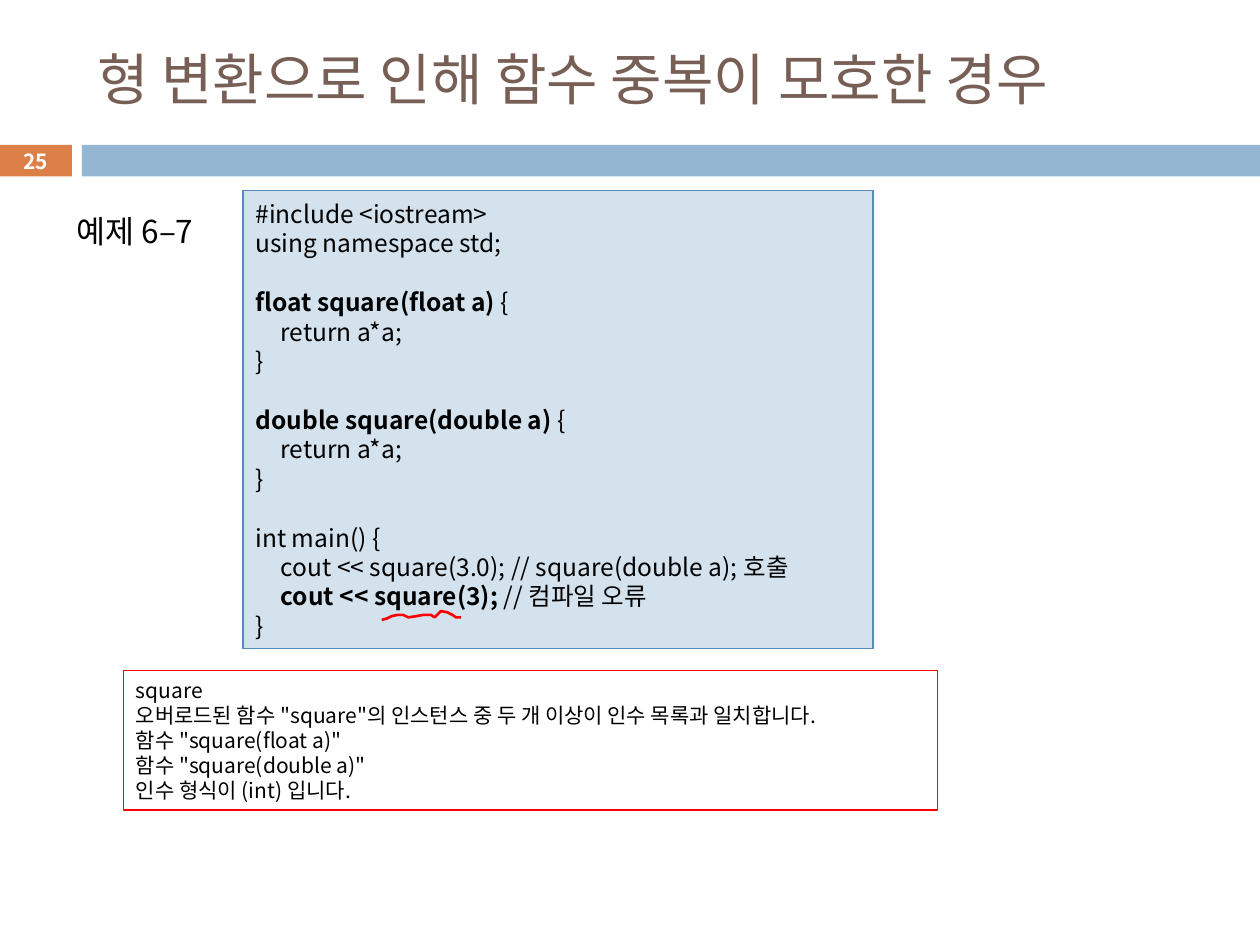
from pptx import Presentation, util as u
from pptx.dml.color import RGBColor
from pptx.enum import shapes, text
from pptx.oxml.ns import qn
from lxml import etree

FONT = "Noto Sans CJK KR"
TITLE = "형 변환으로 인해 함수 중복이 모호한 경우"
PAGE = "25"
LABEL = "예제 6–7"
# Each line is a list of runs; runs starting with * are bold
CODE = [
    ["#include <iostream>"],
    ["using namespace std;"],
    [],
    ["*float square(float a) ", "{"],
    ["\treturn a*a;"],
    ["}"],
    [],
    ["*double square(double a) ", "{"],
    ["\treturn a*a;"],
    ["}"],
    [],
    ["int main() {"],
    ["\tcout << square(3.0); // square(double a); 호출"],
    ["\t", "*cout << square(3);", " // 컴파일 오류"],
    ["}"],
]
ERROR = [
    ["square"],
    ['오버로드된 함수 "square"의 인스턴스 중 두 개 이상이 인수 목록과 일치합니다.'],
    ['함수 "square(float a)"'],
    ['함수 "square(double a)"'],
    ["인수 형식이 (int) 입니다."],
]
# Squiggle points in hundredths of an inch
SQUIGGLE = [(303, 492), (307, 491), (311, 489), (316, 488), (320, 488),
            (324, 490), (331, 489), (336, 488), (342, 488), (345, 490),
            (350, 485), (355, 486), (359, 488), (362, 490), (366, 490)]


def color(value):
    return RGBColor.from_string(value)


def box(s, at, fill=None, line=None):
    sp = s.shapes.add_shape(shapes.MSO_SHAPE.RECTANGLE, *map(u.Inches, at))
    sp.shadow.inherit = False
    if fill:
        sp.fill.solid()
        sp.fill.fore_color.rgb = color(fill)
    else:
        sp.fill.background()
    if line:
        sp.line.color.rgb = color(line)
        sp.line.width = u.Pt(0.75)
    else:
        sp.line.fill.background()
    return sp


def write(sp, lines, size, ink="000000", align=text.PP_ALIGN.LEFT,
          anchor=text.MSO_ANCHOR.MIDDLE, bold=False, spacing=None, wrap=True):
    tf = sp.text_frame
    tf.word_wrap = wrap
    tf.auto_size = text.MSO_AUTO_SIZE.NONE
    tf.vertical_anchor = anchor
    for i, runs in enumerate(lines):
        p = tf.add_paragraph() if i else tf.paragraphs[0]
        p.alignment = align
        if spacing:
            p.line_spacing = u.Pt(spacing)
        if any("\t" in run for run in runs):
            tabs = etree.SubElement(p._p.get_or_add_pPr(), qn("a:tabLst"))
            etree.SubElement(tabs, qn("a:tab"), pos=str(u.Inches(0.2)), algn="l")
        p.font.size, p.font.name, p.font.bold = u.Pt(size), FONT, bold
        p.font.color.rgb = color(ink)
        for run in runs:
            r = p.add_run()
            r.text = run.removeprefix("*")
            if run.startswith("*"):
                r.font.bold = True
            etree.SubElement(r._r.get_or_add_rPr(), qn("a:ea"), typeface=FONT)


def main():
    prs = Presentation()
    prs.slide_width, prs.slide_height = u.Inches(10), u.Inches(7.5)
    s = prs.slides.add_slide(prs.slide_layouts[5])

    # Page number and header band
    page = box(s, (-0.01, 1.15, 0.58, 0.25), "DD8047")
    page.text_frame.margin_top = page.text_frame.margin_bottom = 0
    write(page, [[PAGE]], 11.9, "FFFFFF", text.PP_ALIGN.CENTER, bold=True)
    box(s, (0.65, 1.15, 9.35, 0.25), "94B6D2")

    # Title
    title = s.shapes.title
    title.left, title.top, title.width, title.height = map(
        u.Inches, (0.67, 0.25, 8.92, 0.74))
    write(title, [[TITLE]], 32, "775F55")

    # Code and compiler message
    write(box(s, (1.93, 1.51, 5, 3.64), "D4E2ED", "558BB8"), CODE, 14, spacing=16.8)
    write(box(s, (0.98, 5.32, 6.46, 1.11), line="FF0000"), ERROR, 12, spacing=14.3)

    # Squiggle under the faulty call
    pen = s.shapes.build_freeform(*SQUIGGLE[0], scale=u.Inches(0.01))
    pen.add_line_segments(SQUIGGLE[1:], close=False)
    mark = pen.convert_to_shape()
    mark.shadow.inherit = False
    mark.fill.background()
    mark.line.color.rgb = color("FF0000")
    mark.line.width = u.Pt(1.5)

    # Example label
    label = s.shapes.add_textbox(*map(u.Inches, (0.51, 1.63, 1.29, 0.4)))
    write(label, [[LABEL]], 18, wrap=False)

    prs.save("out.pptx")


if __name__ == "__main__":
    main()
